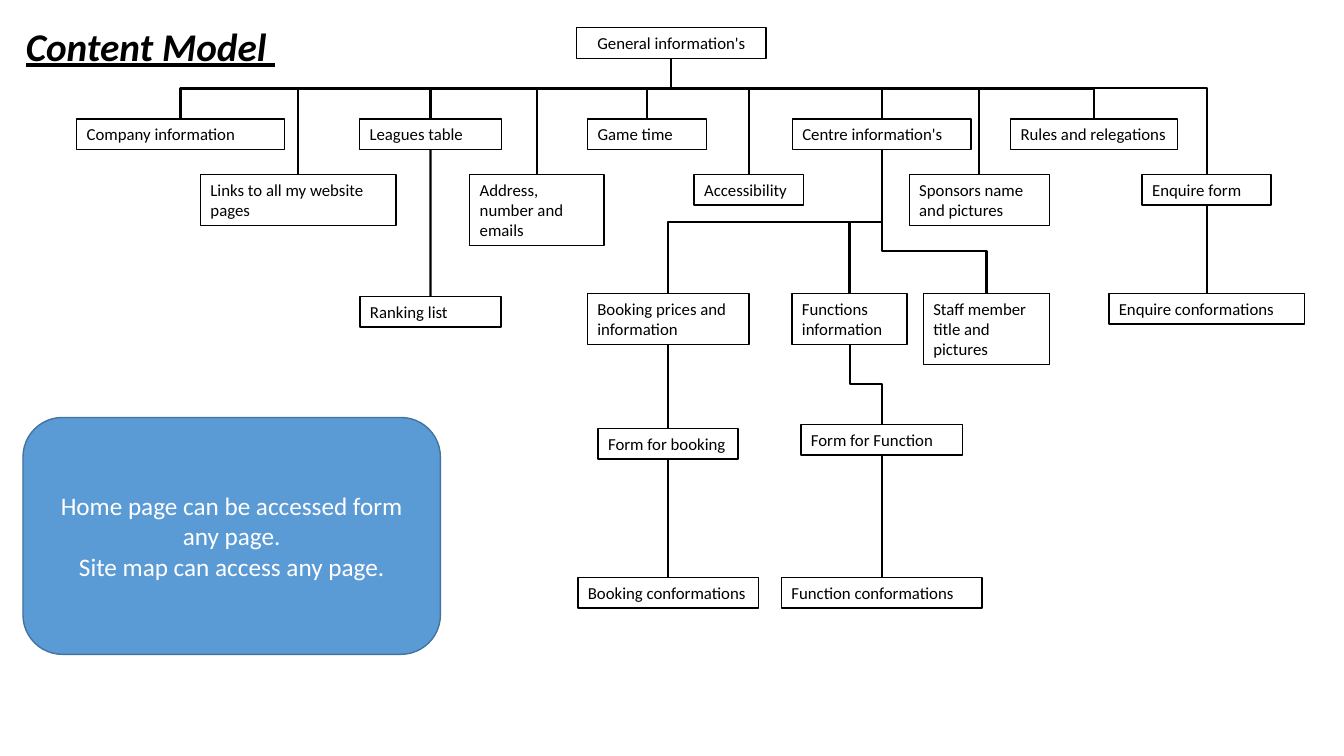
from dataclasses import dataclass

from lxml.etree import SubElement
from pptx import Presentation
from pptx.dml.color import RGBColor
from pptx.enum.shapes import MSO_CONNECTOR as Link, MSO_SHAPE as Preset
from pptx.enum.text import MSO_ANCHOR as Anchor, MSO_AUTO_SIZE as AutoSize, PP_ALIGN as Align
from pptx.oxml.ns import qn
from pptx.util import Cm, Pt

TOP, BOTTOM = 0, 2  # connection sites of a rectangle


@dataclass(frozen=True)
class Theme:
    font: str = "Calibri"
    ink: RGBColor = RGBColor(0x00, 0x00, 0x00)
    paper: RGBColor = RGBColor(0xFF, 0xFF, 0xFF)
    note_fill: RGBColor = RGBColor(0x5B, 0x9B, 0xD5)
    note_edge: RGBColor = RGBColor(0x43, 0x73, 0x9E)
    title_size: Pt = Pt(28)
    note_size: Pt = Pt(18)
    page_size: Pt = Pt(12)
    edge_width: Pt = Pt(1)
    link_width: Pt = Pt(1.5)


THEME = Theme()

# Page name: centre x, top, width in cm, lines of text
PAGES = {
    "General information's": (16.92, 0.7, 4.78, 1),
    "Company information": (4.55, 3, 5.23, 1),
    "Leagues table": (10.85, 3, 3.57, 1),
    "Game time": (16.31, 3, 3, 1),
    "Centre information's": (22.22, 3, 4.5, 1),
    "Rules and relegations": (27.57, 3, 4.2, 1),
    "Links to all my website pages": (7.52, 4.4, 4.93, 2),
    "Address, number and emails": (13.53, 4.4, 3.38, 3),
    "Accessibility": (18.87, 4.4, 2.75, 1),
    "Sponsors name and pictures": (24.68, 4.4, 3.53, 2),
    "Enquire form": (30.41, 4.4, 3.25, 1),
    "Ranking list": (10.85, 7.47, 3.55, 1),
    "Booking prices and information": (16.84, 7.4, 4.07, 2),
    "Functions information": (21.41, 7.4, 2.9, 2),
    "Staff member title and pictures": (24.86, 7.4, 3.18, 3),
    "Enquire conformations": (30.41, 7.4, 4.93, 1),
    "Form for booking": (16.84, 10.8, 3.53, 1),
    "Form for Function": (22.22, 10.7, 4.07, 1),
    "Booking conformations": (16.84, 14.55, 4.55, 1),
    "Function conformations": (22.22, 14.55, 5.05, 1),
}
ROOT = "General information's"
CENTRE = "Centre information's"

# Parent, height of the crossbar in cm, children
BRANCHES = [
    (ROOT, 2.23, list(PAGES)[1:11]),
    (CENTRE, 5.6, ["Booking prices and information", "Functions information"]),
    (CENTRE, 6.33, ["Staff member title and pictures"]),
    ("Functions information", 9.68, ["Form for Function"]),
]

# Pages that follow straight below one another
CHAINS = [
    ("Leagues table", "Ranking list"),
    ("Enquire form", "Enquire conformations"),
    ("Booking prices and information", "Form for booking", "Booking conformations"),
    ("Form for Function", "Function conformations"),
]


def write(frame, lines, size, color, align=Align.LEFT):
    frame.word_wrap = True
    frame.text = "\n".join(lines)
    for paragraph in frame.paragraphs:
        paragraph.alignment = align
        paragraph.font.name = THEME.font
        paragraph.font.size = size
        paragraph.font.color.rgb = color


def add_title(slide, text):
    title = slide.shapes.add_textbox(Cm(0.4), Cm(0.43), Cm(9.83), Cm(1.45))
    write(title.text_frame, [text], THEME.title_size, THEME.ink)
    font = title.text_frame.paragraphs[0].font
    font.bold = font.italic = font.underline = True


def add_panel(slide, preset, left, top, width, height, fill, edge):
    panel = slide.shapes.add_shape(preset, Cm(left), Cm(top), Cm(width), Cm(height))
    panel.shadow.inherit = False
    panel.fill.solid()
    panel.fill.fore_color.rgb = fill
    panel.line.color.rgb = edge
    panel.line.width = THEME.edge_width
    return panel


def add_page(slide, name, center, top, width, lines):
    height = 0.26 + 0.51 * lines
    page = add_panel(slide, Preset.RECTANGLE, center - width / 2, top, width, height,
                     THEME.paper, THEME.ink)
    write(page.text_frame, [name], THEME.page_size, THEME.ink,
          Align.CENTER if name == ROOT else Align.LEFT)
    page.text_frame.vertical_anchor = Anchor.TOP
    page.text_frame.auto_size = AutoSize.SHAPE_TO_FIT_TEXT
    return page


def add_note(slide, lines):
    note = add_panel(slide, Preset.ROUNDED_RECTANGLE, 0.58, 10.52, 10.52, 5.97,
                     THEME.note_fill, THEME.note_edge)
    write(note.text_frame, lines, THEME.note_size, THEME.paper, Align.CENTER)
    note.text_frame.vertical_anchor = Anchor.MIDDLE


def add_link(slide, kind, child, parent):
    link = slide.shapes.add_connector(kind, 0, 0, 0, 0)
    link.begin_connect(child, TOP)
    link.end_connect(parent, BOTTOM)
    link.line.color.rgb = THEME.ink
    link.line.width = THEME.link_width
    SubElement(link.element.spPr, qn("a:effectLst"))
    return link


def add_branch(slide, child, parent, crossbar):
    link = add_link(slide, Link.ELBOW, child, parent)
    start_x, start_y, end_x, end_y = link.begin_x, link.begin_y, link.end_x, link.end_y
    rise, run = start_y - end_y, abs(end_x - start_x)

    # Turn the elbow so that it leaves both pages vertically
    link.left = (start_x + end_x - rise) // 2
    link.top = (start_y + end_y - run) // 2
    link.width, link.height = rise, run
    leftward = start_x < end_x
    xfrm = link.element.spPr.find(qn("a:xfrm"))
    xfrm.set("rot", str((90 if leftward else 270) * 60000))
    xfrm.set("flipH", "1" if leftward else "0")
    xfrm.set("flipV", "1")

    # Put the bend at the height of the crossbar
    bend = round(100000 * (start_y - Cm(crossbar)) / rise)
    adjustments = link.element.spPr.find(qn("a:prstGeom")).find(qn("a:avLst"))
    SubElement(adjustments, qn("a:gd"), name="adj1", fmla=f"val {bend}")


def main():
    deck = Presentation()
    deck.slide_width, deck.slide_height = Cm(33.87), Cm(19.05)
    slide = deck.slides.add_slide(deck.slide_layouts[6])

    # Heading and note
    add_title(slide, "Content Model ")
    add_note(slide, ["Home page can be accessed form any page.",
                     "Site map can access any page."])

    # Pages of the site
    pages = {name: add_page(slide, name, *place) for name, place in PAGES.items()}

    # Links between pages
    for parent, crossbar, children in BRANCHES:
        for child in children:
            add_branch(slide, pages[child], pages[parent], crossbar)
    for chain in CHAINS:
        for parent, child in zip(chain, chain[1:]):
            add_link(slide, Link.STRAIGHT, pages[child], pages[parent])

    deck.save("out.pptx")


if __name__ == "__main__":
    main()
